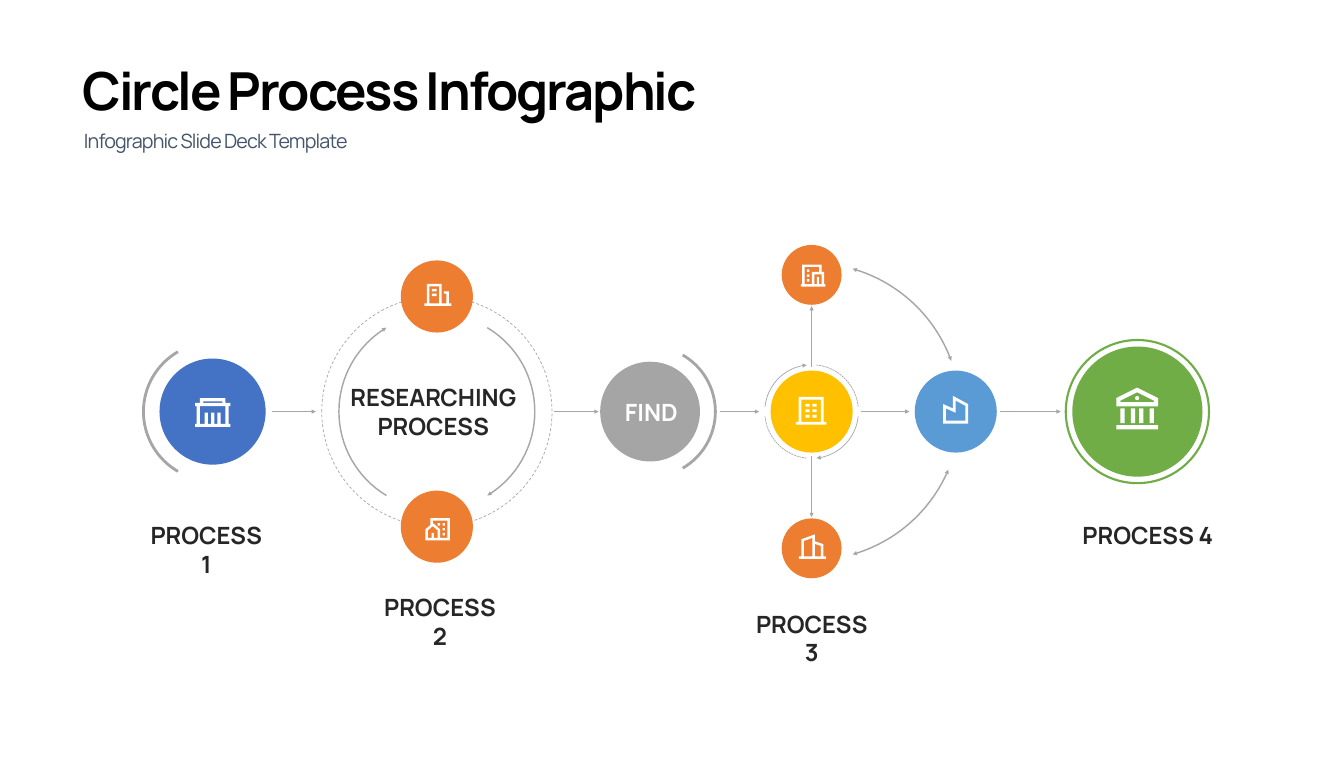
from math import cos, radians, sin

from pptx import Presentation
from pptx.dml import color
from pptx.enum import dml, shapes, text
from pptx.oxml import xmlchemy
from pptx.util import Pt

FONT = "Manrope"
BLACK = color.RGBColor(0x00, 0x00, 0x00)
WHITE = color.RGBColor(0xFF, 0xFF, 0xFF)
INK = color.RGBColor(0x26, 0x26, 0x26)
SLATE = color.RGBColor(0x44, 0x54, 0x6A)
LINE_GRAY = color.RGBColor(0xA6, 0xA6, 0xA6)
GRAY = color.RGBColor(0xA5, 0xA5, 0xA5)
BLUE = color.RGBColor(0x44, 0x72, 0xC4)
ORANGE = color.RGBColor(0xED, 0x7D, 0x31)
YELLOW = color.RGBColor(0xFF, 0xC0, 0x00)
SKY = color.RGBColor(0x5B, 0x9B, 0xD5)
GREEN = color.RGBColor(0x70, 0xAD, 0x47)

# Centres of the stages along the horizontal axis
AXIS = 581.8
START_X, RESEARCH_X, FIND_X = 300.4, 617.4, 918.7
HUB_X, FACTORY_X, GOAL_X = 1147, 1350.7, 1607.4
RESEARCH_RADIUS = 162.7
BRANCH_RISE = 193.3


def box(x, y, width, height):
    return [(x, y), (x + width, y), (x + width, y + height), (x, y + height)]


def dot(x, y, radius):
    return [(x + radius * cos(radians(a)), y + radius * sin(radians(a)))
            for a in range(0, 360, 30)]


# Icon outlines on a 24-unit grid; inner outlines are cut out
BANK = [
    box(2, 20, 20, 2), *[box(x, 12, 2, 7) for x in (4, 9, 13, 18)],
    [(2, 7), (12, 2), (22, 7), (22, 11), (2, 11)],
    [(4, 8.24), (4, 9), (20, 9), (20, 8.24), (12, 4.24)], dot(12, 7, 1),
]
GOVERNMENT = [
    [(20, 6), (23, 6), (23, 8), (22, 8), (22, 19), (23, 19), (23, 21), (1, 21),
     (1, 19), (2, 19), (2, 8), (1, 8), (1, 6), (4, 6), (4, 3), (20, 3)],
    [(20, 8), (4, 8), (4, 19), (7, 19), (7, 12), (9, 12), (9, 19), (11, 19),
     (11, 12), (13, 12), (13, 19), (15, 19), (15, 12), (17, 12), (17, 19), (20, 19)],
    box(6, 5, 12, 1),
]
OFFICE_BLOCK = [
    [(21, 20), (23, 20), (23, 22), (1, 22), (1, 20), (3, 20), (3, 2), (21, 2)],
    box(5, 4, 14, 16), *[box(x, y, 3, 2) for x in (8, 13) for y in (7, 11, 15)],
]
ANNEX = [
    [(21, 19), (23, 19), (23, 21), (1, 21), (1, 19), (3, 19), (3, 3), (15, 3),
     (15, 19), (19, 19), (19, 11), (17, 11), (17, 9), (21, 9)],
    box(5, 5, 8, 14), box(7, 11, 4, 2), box(7, 7, 4, 2),
]
COMMUNITY = [
    [(22, 21), (2, 21), (2, 12), (6, 8.54), (6, 3), (22, 3)],
    [(9, 19), (12, 19), (12, 12.94), (8, 9.45), (4, 12.94), (4, 19), (7, 19),
     (7, 15), (9, 15)],
    [(14, 19), (20, 19), (20, 5), (8, 5), (8, 7.13), (8.66, 7.37), (14, 12)],
    *[box(16, y, 2, 2) for y in (7, 11, 15)], box(12, 7, 2, 2),
]
TOWERS = [
    [(3, 19), (3, 5), (14, 1), (14, 6.67), (21, 9), (21, 19), (23, 19), (23, 21),
     (1, 21), (1, 19)],
    [(5, 19), (12, 19), (12, 3.86), (5, 6.4)],
    [(19, 19), (19, 10.44), (14, 8.78), (14, 19)],
]
FACTORY = [
    [(10, 10.11), (10, 1), (21, 7), (21, 21), (3, 21), (3, 7)],
    [(12, 4.37), (12, 13.19), (5, 10.08), (5, 19), (19, 19), (19, 8.19)],
]
HOTEL = [
    [(22, 21), (2, 21), (2, 19), (3, 19), (3, 3), (19, 3), (19, 9), (21, 9),
     (21, 19), (22, 19)],
    [(17, 19), (19, 19), (19, 11), (13, 11), (13, 19), (15, 19), (15, 13), (17, 13)],
    [(17, 9), (17, 5), (5, 5), (5, 19), (11, 19), (11, 9)],
    *[box(7, y, 2, 2) for y in (7, 11, 15)],
]


def style_line(line, tint, width, dash=None, head=False, tail=False):
    line.color.rgb = tint
    line.width = Pt(width)
    if dash:
        line.dash_style = dash
    for tag, wanted in (("a:headEnd", head), ("a:tailEnd", tail)):
        if wanted:
            arrowhead = xmlchemy.OxmlElement(tag)
            arrowhead.set("type", "triangle")
            line._get_or_add_ln().append(arrowhead)


def add_circle(slide, x, y, diameter, fill=None, outline=None, width=1, dash=None):
    circle = slide.shapes.add_shape(
        shapes.MSO_SHAPE.OVAL, Pt(x - diameter / 2), Pt(y - diameter / 2),
        Pt(diameter), Pt(diameter))
    circle.shadow.inherit = False
    if fill is not None:
        circle.fill.solid()
        circle.fill.fore_color.rgb = fill
    else:
        circle.fill.background()
    if outline is not None:
        style_line(circle.line, outline, width, dash)
    else:
        circle.line.fill.background()


def add_arc(slide, x, radius, start, end, width, dash=None, head=False, tail=False):
    """Arc around a point on the axis; angles run clockwise from the right."""
    steps = 32
    angles = [radians(start + (end - start) * i / steps) for i in range(steps + 1)]
    points = [(Pt(x + radius * cos(a)), Pt(AXIS + radius * sin(a))) for a in angles]
    outline = slide.shapes.build_freeform(*points[0])
    outline.add_line_segments(points[1:], close=False)
    arc = outline.convert_to_shape()
    arc.shadow.inherit = False
    arc.fill.background()
    style_line(arc.line, LINE_GRAY, width, dash, head, tail)


def add_arrow(slide, x1, y1, x2, y2):
    arrow = slide.shapes.add_connector(
        shapes.MSO_CONNECTOR.STRAIGHT, Pt(x1), Pt(y1), Pt(x2), Pt(y2))
    style_line(arrow.line, LINE_GRAY, 1, tail=True)
    arrow._element.spPr.append(xmlchemy.OxmlElement("a:effectLst"))


def add_icon(slide, outlines, x, y, unit):
    placed = [[(Pt(x + (px - 12) * unit), Pt(y + (py - 12) * unit)) for px, py in outline]
              for outline in outlines]
    builder = slide.shapes.build_freeform(*placed[0][0])
    for i, points in enumerate(placed):
        if i:
            builder.move_to(*points[0])
        builder.add_line_segments(points[1:], close=True)
    icon = builder.convert_to_shape()
    icon.shadow.inherit = False
    icon.fill.solid()
    icon.fill.fore_color.rgb = WHITE
    icon.line.fill.background()


def add_text(slide, lines, left, top, width, height, size, tint, bold=True,
             align=text.PP_ALIGN.CENTER, anchor=text.MSO_ANCHOR.TOP,
             margins=(11.5, 5.8), leading=None, tracking=0):
    frame = slide.shapes.add_textbox(Pt(left), Pt(top), Pt(width), Pt(height)).text_frame
    frame.word_wrap = True
    frame.vertical_anchor = anchor
    frame.margin_left = frame.margin_right = Pt(margins[0])
    frame.margin_top = frame.margin_bottom = Pt(margins[1])
    for i, words in enumerate(lines):
        paragraph = frame.add_paragraph() if i else frame.paragraphs[0]
        paragraph.alignment = align
        if leading:
            paragraph.line_spacing = Pt(leading)
        run = paragraph.add_run()
        run.text = words
        run.font.name, run.font.size, run.font.bold = FONT, Pt(size), bold
        run.font.color.rgb = tint
        if tracking:
            run._r.get_or_add_rPr().set("spc", str(round(tracking * 100)))


def main():
    deck = Presentation()
    deck.slide_width, deck.slide_height = Pt(1899.36), Pt(1077.12)
    slide = deck.slides.add_slide(deck.slide_layouts[6])

    # Heading
    heading = dict(align=text.PP_ALIGN.LEFT, margins=(7.2, 3.6))
    add_text(slide, ["Circle Process Infographic"], 109.4, 73.4, 1457, 99.4, 74, BLACK,
             leading=94, tracking=-2.9, **heading)
    add_text(slide, ["Infographic Slide Deck Template"], 111.6, 170.6, 1385, 46.8, 27.8,
             SLATE, bold=False, leading=42, tracking=-1.2, **heading)

    # Arcs around the stages
    add_arc(slide, START_X, 97.7, 240, 120, 4)
    add_arc(slide, FIND_X, 92.3, -60, 60, 4)
    for start in (59, 239):
        add_arc(slide, RESEARCH_X, 138.4, start, start - 118, 2, head=True)
    for start in (84, 264):
        add_arc(slide, HUB_X, 66.2, start, start - 78, 1, head=True)
        add_arc(slide, HUB_X, 66.2, start + 90, start + 12, 1, dml.MSO_LINE.SQUARE_DOT)
    for start, end in ((74, 23), (-20, -74)):
        add_arc(slide, HUB_X, 210, start, end, 2, head=True, tail=True)

    # Arrows between the stages and from the hub to its branches
    for x1, x2 in ((383.8, 446.4), (783.4, 846), (1018.1, 1072.8),
                   (1216.8, 1285.2), (1412.6, 1499)):
        add_arrow(slide, x1, AXIS, x2, AXIS)
    for side in (-1, 1):
        add_arrow(slide, HUB_X, AXIS + side * 63.4, HUB_X, AXIS + side * 149)

    # Stage circles
    add_circle(slide, RESEARCH_X, AXIS, 2 * RESEARCH_RADIUS, outline=LINE_GRAY,
               dash=dml.MSO_LINE.DASH)
    add_circle(slide, GOAL_X, AXIS, 202.4, outline=GREEN, width=3)
    for x, diameter, fill in ((START_X, 150, BLUE), (FIND_X, 141, GRAY), (HUB_X, 116, YELLOW),
                              (FACTORY_X, 116, SKY), (GOAL_X, 184, GREEN)):
        add_circle(slide, x, AXIS, diameter, fill)
    for side in (-1, 1):
        add_circle(slide, RESEARCH_X, AXIS + side * RESEARCH_RADIUS, 102, ORANGE)
        add_circle(slide, HUB_X, AXIS + side * BRANCH_RISE, 84.6, ORANGE)

    # Icons
    for outlines, x, y, unit in (
            (GOVERNMENT, 300.6, 583.2, 2.26), (ANNEX, 618.8, 416.9, 1.73),
            (COMMUNITY, 618.5, 748.1, 1.73), (OFFICE_BLOCK, 1146.2, 580.7, 1.96),
            (HOTEL, 1149.1, 389.5, 1.73), (TOWERS, 1148, 774.4, 1.73),
            (FACTORY, 1350.4, 581, 1.96), (BANK, 1607, 577.4, 2.95)):
        add_icon(slide, outlines, x, y, unit)

    # Labels
    for number, x, top, width in ((1, 291.6, 730.8, 202), (2, 621.7, 832.3, 202),
                                  (3, 1147.3, 855.4, 202), (4, 1622.2, 730.8, 209)):
        add_text(slide, [f"PROCESS {number}"], x - width / 2, top, width, 51.8, 33.6, INK)
    middle = text.MSO_ANCHOR.MIDDLE
    add_text(slide, ["RESEARCHING", "PROCESS"], 481.7, 535, 261.4, 92.9, 33.6, INK,
             anchor=middle)
    add_text(slide, ["FIND"], 869.8, 555.8, 101.5, 51.8, 33.6, WHITE, anchor=middle)

    deck.save("out.pptx")


if __name__ == "__main__":
    main()
